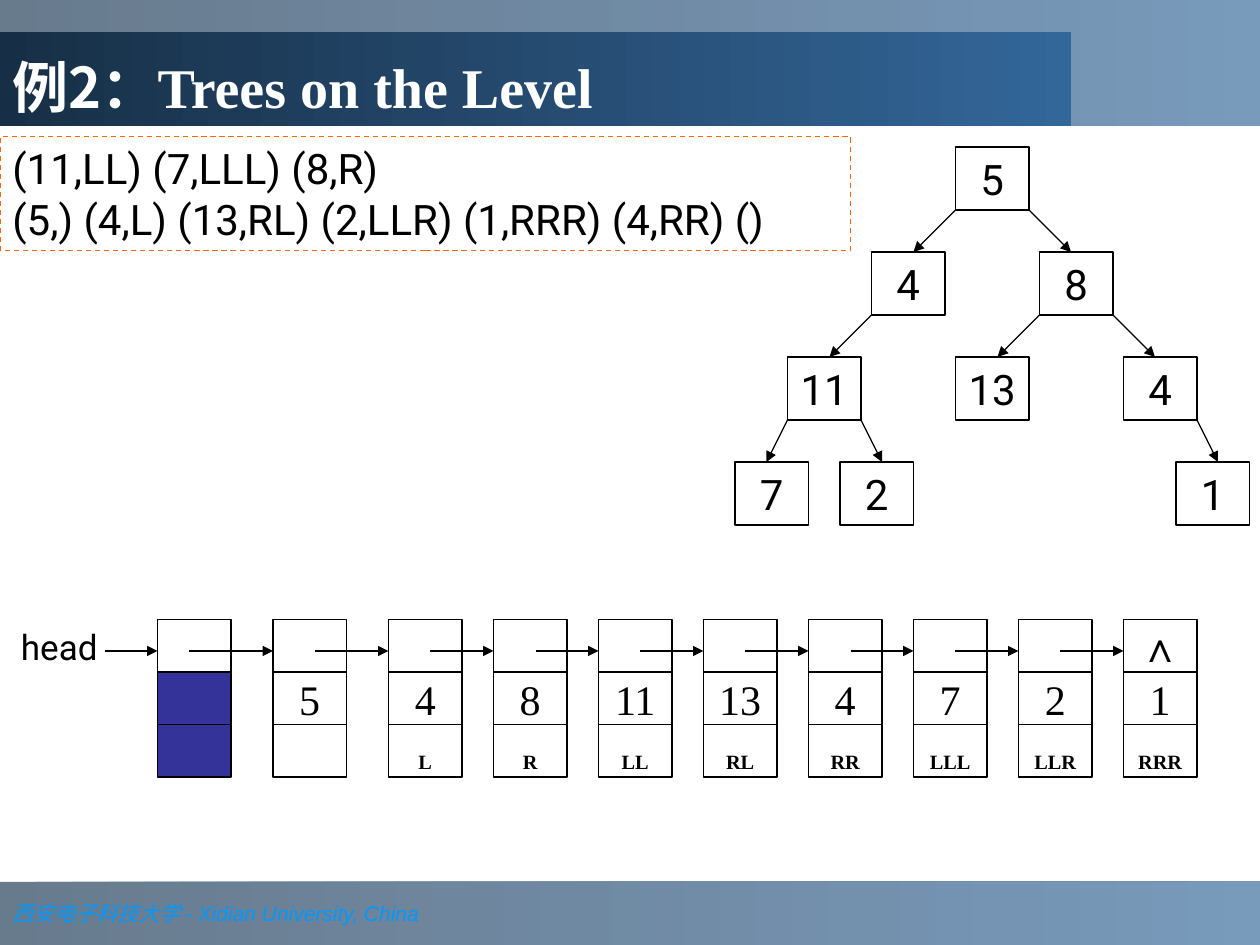
from lxml.etree import SubElement
from pptx import Presentation
from pptx.dml.color import RGBColor
from pptx.enum.dml import MSO_LINE
from pptx.enum.shapes import MSO_CONNECTOR, MSO_SHAPE
from pptx.enum.text import MSO_ANCHOR, PP_ALIGN
from pptx.oxml.ns import qn
from pptx.util import Pt

COLORS = {
    "black": "000000", "white": "FFFFFF", "header": "333399",
    "dash": "FF6600", "footer": "0099FF", "light": "336699",
    "band": "1B3753", "title": "172F46",
}
CHINESE = "Noto Sans CJK SC"
SERIF = "Times New Roman"
SANS = "Roboto"
CELL_WIDTH = 42
TREE = (5, (4, (11, (7, None, None), (2, None, None)), None),
        (8, (13, None, None), (4, None, (1, None, None))))
TREE_LEVELS = [(48, 24), (48, 24), (30, 12)]
LIST_NODES = [(5, ""), (4, "L"), (8, "R"), (11, "LL"), (13, "RL"),
              (4, "RR"), (7, "LLL"), (2, "LLR"), (1, "RRR")]


def rgb(name):
    """Return the named colour."""
    return RGBColor.from_string(COLORS[name])


def style(font, size, name, color="black", bold=None, italic=None):
    """Set the look of a font."""
    font.size, font.name, font.bold, font.italic = Pt(size), name, bold, italic
    font.color.rgb = rgb(color)


def add_rectangle(shapes, left, top, width, height, fill=None, line="black"):
    """Add a plain rectangle with an optional fill and outline."""
    box = shapes.add_shape(MSO_SHAPE.RECTANGLE, Pt(left), Pt(top), Pt(width), Pt(height))
    box.shadow.inherit = False
    if fill:
        box.fill.solid()
        box.fill.fore_color.rgb = rgb(fill)
    else:
        box.fill.background()
    if line:
        box.line.color.rgb = rgb(line)
        box.line.width = Pt(0.75)
    else:
        box.line.fill.background()
    return box


def add_band(shapes, left, top, width, height, dark, alpha=None):
    """Add a band that fades from dark on the left to light on the right."""
    band = add_rectangle(shapes, left, top, width, height, line=None)
    band.fill.gradient()
    band.fill.gradient_angle = 0
    for stop, name in zip(band.fill.gradient_stops, (dark, "light")):
        stop.color.rgb = rgb(name)
    if alpha:
        for color in band._element.spPr.iter(qn("a:srgbClr")):
            SubElement(color, qn("a:alpha"), val=str(alpha * 1000))
    return band


def add_mixed_text(box, spans, size, color, anchor, wrap, bold=None, italic=None):
    """Write one left-aligned line whose spans differ in font."""
    frame = box.text_frame
    frame.word_wrap, frame.vertical_anchor = wrap, anchor
    para = frame.paragraphs[0]
    para.alignment = PP_ALIGN.LEFT
    for text, name in spans:
        span = para.add_run()
        span.text = text
        style(span.font, size, name, color, bold, italic)
        SubElement(span._r.get_or_add_rPr(), qn("a:ea"), typeface=CHINESE)


def add_cell(shapes, left, top, height, text="", font=SERIF, fill="white"):
    """Add a node cell with centred text."""
    cell = add_rectangle(shapes, left, top, CELL_WIDTH, height, fill)
    if text:
        frame = cell.text_frame
        frame.word_wrap, frame.vertical_anchor = False, MSO_ANCHOR.MIDDLE
        para = frame.paragraphs[0]
        para.alignment = PP_ALIGN.CENTER
        para.add_run().text = text
        style(para.font, 24, font)
    return cell


def add_route_cell(shapes, left, top, height, route):
    """Add a cell with a small lowered route label."""
    cell = add_cell(shapes, left, top, height, route)
    if route:
        frame = cell.text_frame
        frame.margin_left = frame.margin_right = frame.margin_top = frame.margin_bottom = 0
        para = frame.paragraphs[0]
        style(para.font, 20, SERIF, bold=True)
        para.runs[0]._r.get_or_add_rPr().set("baseline", "-20000")


def add_arrow(shapes, start, end):
    """Add a thin arrow between two points."""
    arrow = shapes.add_connector(MSO_CONNECTOR.STRAIGHT, *map(Pt, start + end))
    arrow.line.color.rgb = rgb("black")
    arrow.line.width = Pt(0.75)
    SubElement(arrow.line._get_or_add_ln(), qn("a:tailEnd"), type="triangle")
    SubElement(arrow._element.spPr, qn("a:effectLst"))


def add_frame(shapes, width, height):
    """Place the footer, the top band and the title."""
    footer = add_band(shapes, 0, height - 36, width, 36, "band", 66)
    add_mixed_text(footer, [("西安电子科技大学 ", SERIF), ("- Xidian University, China", "Arial")],
                   12, "footer", MSO_ANCHOR.MIDDLE, False, italic=True)
    add_band(shapes, 0, 0, width, 72, "band", 66)
    title = add_band(shapes, 0, 18, 612, 54, "title")
    add_mixed_text(title, [("例2：", CHINESE), ("Trees on the Level", SERIF)],
                   32, "white", MSO_ANCHOR.BOTTOM, True, bold=True)


def add_input(shapes, left, top, width, height):
    """Place the dashed box with the sample input."""
    box = add_rectangle(shapes, left, top, width, height, line="dash")
    box.line.dash_style = MSO_LINE.DASH
    frame = box.text_frame
    frame.word_wrap, frame.vertical_anchor = True, MSO_ANCHOR.TOP
    para = frame.paragraphs[0]
    para.text = "(11,LL) (7,LLL) (8,R)\v(5,) (4,L) (13,RL) (2,LLR) (1,RRR) (4,RR) ()"
    para.alignment = PP_ALIGN.LEFT
    style(para.font, 24, SANS)


def add_tree(shapes, node, left, top, depth=0):
    """Place a tree node and, below it, its subtrees."""
    value, *children = node
    height, row_step = 36, 60
    add_cell(shapes, left, top, height, str(value), SANS)
    for side, child in zip((-1, 1), children):
        if child:
            spread, run = TREE_LEVELS[depth]
            corner = left if side < 0 else left + CELL_WIDTH
            add_arrow(shapes, (corner, top + height), (corner + side * run, top + row_step))
            add_tree(shapes, child, left + side * spread, top + row_step, depth + 1)


def add_linked_list(shapes, left, top):
    """Place the head label and the chain of three-cell nodes."""
    row = 30
    link = top + 18
    label = shapes.add_textbox(Pt(left), Pt(top), Pt(48), Pt(32))
    label.text_frame.word_wrap = True
    label.text_frame.margin_left = label.text_frame.margin_right = 0
    para = label.text_frame.paragraphs[0]
    para.text = "head"
    style(para.font, 20, SANS)

    first = left + 78
    lefts = [first, first + 66] + [first + 132 + 60 * step for step in range(8)]
    add_arrow(shapes, (left + 48, link), (first, link))
    add_cell(shapes, first, top, row)
    for index in (1, 2):
        add_cell(shapes, first, top + index * row, row, fill="header")
    for x, (value, route) in zip(lefts[1:], LIST_NODES):
        add_cell(shapes, x, top, row, "∧" if x == lefts[-1] else "")
        add_cell(shapes, x, top + row, row, str(value))
        add_route_cell(shapes, x, top + 2 * row, row, route)
    for x, following in zip(lefts, lefts[1:]):
        start = x + (18 if x == first else 24)
        add_arrow(shapes, (start, link), (following, link))


def main():
    """Build the slide and save it."""
    deck = Presentation()
    deck.slide_width, deck.slide_height = Pt(720), Pt(540)
    page = deck.slides.add_slide(deck.slide_layouts[6])
    add_frame(page.shapes, 720, 540)
    add_input(page.shapes, 0, 78, 486, 65)
    add_linked_list(page.shapes.add_group_shape().shapes, 12, 354)
    add_tree(page.shapes.add_group_shape().shapes, TREE, 546, 84)
    deck.save("out.pptx")


if __name__ == "__main__":
    main()
